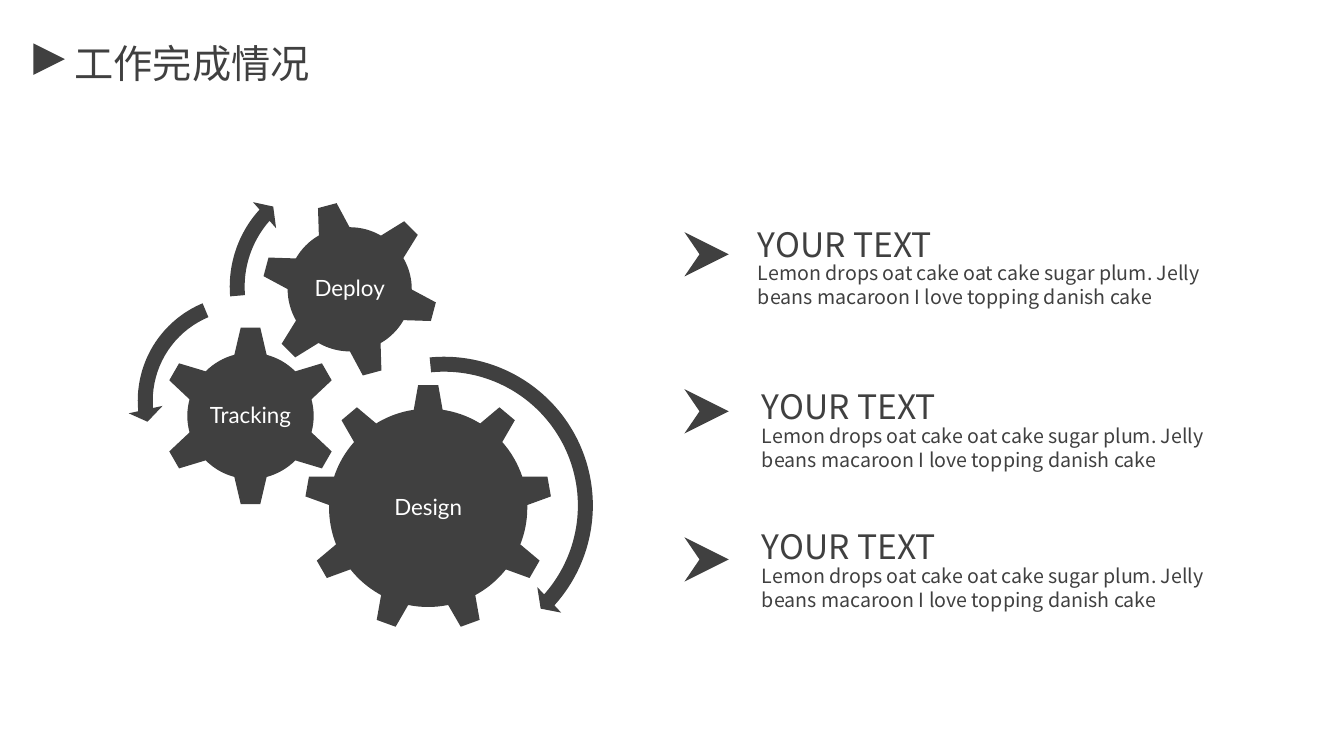
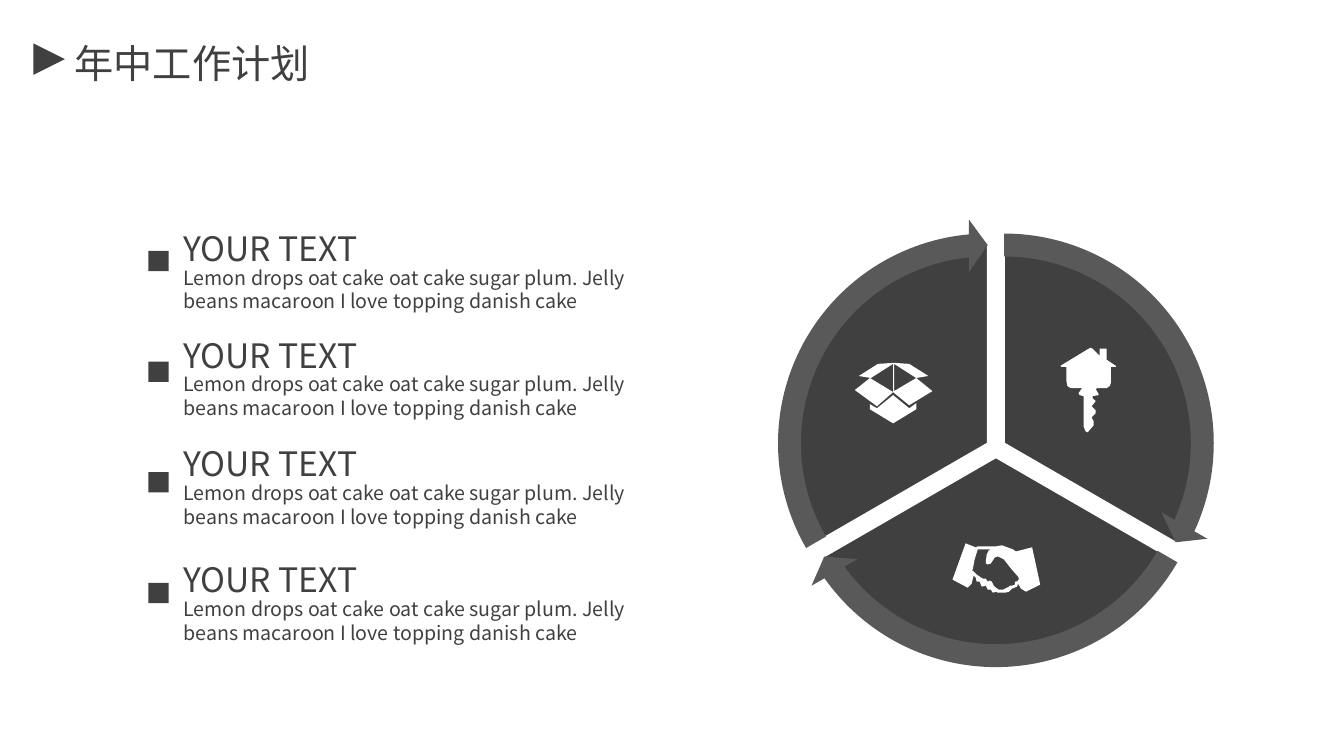
from pptx import Presentation
from pptx.dml.color import RGBColor
from pptx.enum.shapes import MSO_SHAPE
from pptx.enum.text import MSO_ANCHOR, MSO_AUTO_SIZE, PP_ALIGN
from pptx.oxml.ns import qn
from pptx.util import Pt
from lxml import etree
from math import cos, radians, sin

TRI, RECT, PIE = MSO_SHAPE.ISOSCELES_TRIANGLE, MSO_SHAPE.RECTANGLE, MSO_SHAPE.PIE
GEAR6, GEAR9 = MSO_SHAPE.GEAR_6, MSO_SHAPE.GEAR_9
ARC, LEFT_ARC = MSO_SHAPE.CIRCULAR_ARROW, MSO_SHAPE.LEFT_CIRCULAR_ARROW
TOP, MIDDLE = MSO_ANCHOR.TOP, MSO_ANCHOR.MIDDLE
LEFT, CENTER = PP_ALIGN.LEFT, PP_ALIGN.CENTER
NO_FIT = MSO_AUTO_SIZE.NONE

COLORS = {"dark": "404040", "gray": "595959", "white": "FFFFFF", "pale": "FCFDFF"}
HAN, LATO = "Noto Sans CJK SC", "Lato"
BODY = ("Lemon drops oat cake oat cake sugar plum. "
        "Jelly beans macaroon I love topping danish cake")
UNIT = 0.72  # points per step of the icon outlines
CHEVRON = [[(44, 22), (0, 44), (15, 22), (0, 0)]]

# Icon outlines: each icon is a list of closed contours
BOX = [
    [(38, 29), (54, 42), (77, 28), (61, 15), (39, 28), (39, 1), (61, 15), (73, 13),
     (54, 1), (39, 0), (38, 0), (23, 1), (4, 13), (16, 15), (38, 1)],
    [(0, 27), (22, 43), (38, 29), (15, 15)],
    [(38, 32), (22, 45), (15, 41), (15, 46), (38, 60), (61, 46), (61, 40), (54, 45)],
]
KEY = [
    [(7, 33), (7, 19), (2, 19), (1, 18), (29, 1), (31, 0), (33, 1), (40, 8), (40, 1),
     (47, 1), (47, 12), (56, 18), (56, 19), (51, 19), (51, 35), (50, 38), (47, 40),
     (38, 40), (36, 41), (39, 46), (39, 47), (33, 48), (33, 50), (36, 53), (32, 58),
     (36, 62), (36, 65), (32, 69), (34, 73), (34, 77), (28, 84), (26, 83), (24, 78),
     (24, 48), (20, 47), (19, 45), (22, 41), (22, 40), (11, 40), (8, 38)],
]
HANDS = [
    [(79, 4), (63, 8), (64, 9), (60, 6), (49, 2), (43, 3), (25, 3), (23, 4), (13, 0),
     (0, 36), (15, 44), (19, 40), (21, 32), (23, 34), (24, 38), (27, 38), (29, 43),
     (33, 42), (35, 46), (38, 46), (40, 49), (43, 48), (45, 49), (52, 49), (56, 48),
     (59, 45), (64, 43), (65, 40), (68, 45), (73, 48), (87, 41)],
    [(63, 38), (62, 38), (62, 41), (59, 42), (57, 42), (56, 43), (52, 45), (50, 46),
     (46, 46), (43, 44), (41, 42), (39, 38), (37, 37), (35, 38), (33, 35), (30, 35),
     (24, 31), (20, 27), (19, 27), (20, 26), (22, 16), (25, 6), (38, 6), (36, 7),
     (34, 11), (33, 18), (33, 20), (35, 21), (38, 20), (42, 14), (45, 13), (51, 16),
     (58, 25), (65, 33), (66, 35), (65, 37)],
]


def rgb(color):
    return RGBColor.from_string(COLORS[color])


def paint(shape, color):
    shape.shadow.inherit = False
    shape.fill.solid()
    shape.fill.fore_color.rgb = rgb(color)
    shape.line.fill.background()


def block(slide, kind, x, y, size, color="dark", adj=()):
    """Add a square preset shape."""
    shape = slide.shapes.add_shape(kind, Pt(x), Pt(y), Pt(size), Pt(size))
    paint(shape, color)
    for i, value in enumerate(adj):
        shape.adjustments[i] = value
    return shape


def draw(slide, paths, x, y, color):
    """Add one freeform made of closed contours."""
    pen = slide.shapes.build_freeform(*paths[0][0], scale=Pt(UNIT))
    for i, path in enumerate(paths):
        if i:
            pen.move_to(*path[0])
        pen.add_line_segments(path[1:], close=True)
    paint(pen.convert_to_shape(Pt(x), Pt(y)), color)


def write(shape, text, size, font=HAN, color="dark", align=LEFT, anchor=TOP, space=0.9):
    frame = shape.text_frame
    frame.text = text
    frame.word_wrap = True
    frame.auto_size = NO_FIT
    frame.vertical_anchor = anchor
    frame.margin_left = frame.margin_right = 0
    frame.margin_top = frame.margin_bottom = 0
    para = frame.paragraphs[0]
    para.alignment = align
    para.line_spacing = space
    run = para.runs[0]
    run.font.size = Pt(size)
    run.font.name = font
    run.font.color.rgb = rgb(color)
    etree.SubElement(run._r.get_or_add_rPr(), qn("a:ea"), typeface=font)


def label(slide, x, y, w, h, text, size, **style):
    write(slide.shapes.add_textbox(Pt(x), Pt(y), Pt(w), Pt(h)), text, size, **style)


def item(slide, x, y):
    """Add a heading with its two lines of body text."""
    label(slide, x, y, 280, 29, "YOUR TEXT", 24, space=Pt(29))
    label(slide, x, y + 27, 332, 41, BODY, 14, space=Pt(17))


def gear(slide, kind, x, y, size, text, turn=0):
    block(slide, kind, x, y, size).rotation = turn
    label(slide, x, y, size, size, text, 16, font=LATO, color="white",
          align=CENTER, anchor=MIDDLE)


def start(deck, text):
    """Add a slide with the shared title style."""
    slide = deck.slides.add_slide(deck.slide_layouts[5])
    block(slide, TRI, 23.8, 31, 22.5).rotation = 90
    title = slide.shapes.title
    title.left, title.top, title.width, title.height = Pt(53.3), Pt(28), Pt(260), Pt(34)
    write(title, text, 28, space=Pt(34))
    return slide


def status(deck):
    slide = start(deck, "工作完成情况")
    # Gears
    gear(slide, GEAR9, 217.4, 274.3, 177, "Design")
    gear(slide, GEAR6, 114.5, 232.6, 128.9, "Tracking")
    gear(slide, GEAR6, 186.5, 143.3, 126.7, "Deploy", 345)
    # Turning arrows
    block(slide, ARC, 203.8, 247.7, 226.8, adj=(0.047, 2.99, 25.139, 158.662, 0.055))
    block(slide, LEFT_ARC, 91.4, 203.8, 164.9, adj=(0.065, 4.3, 104.891, 148.378, 0.075))
    block(slide, ARC, 157, 115.9, 177.8, adj=(0.06, 3.941, 133.138, 105.082, 0.07))
    # Text list
    for mark, x, y in ((165.8, 541.4, 159.5), (278, 544.3, 275.4), (383.8, 544.3, 375.5)):
        draw(slide, CHEVRON, 488.9, mark, "dark")
        item(slide, x, y)


def plan(deck):
    slide = start(deck, "年中工作计划")
    # Three wedges pushed out from the middle, each with an arrow round it
    cx, cy, gap, pie, ring = 711.4, 320, 6.8, 286, 321
    arcs = []
    for begin in (270, 30, 150):
        mid = radians(begin + 60)
        x, y = cx + gap * cos(mid), cy + gap * sin(mid)
        first, last = begin * 0.6, (begin + 120) % 360 * 0.6
        wedge = block(slide, PIE, x - pie / 2, y - pie / 2, pie, adj=(first, last))
        wedge.line.color.rgb = rgb("white")
        wedge.line.width = Pt(1)
        arcs.append((x, y, first, last))
    for x, y, first, last in arcs:
        block(slide, ARC, x - ring / 2, y - ring / 2, ring, "gray",
              (0.051, 3.275, last - 3.275, first, 0.059))
    # Icons
    draw(slide, HANDS, 680.4, 388.1, "white")
    for part in BOX:
        draw(slide, [part], 610.6, 259.2, "white")
    draw(slide, KEY, 756.7, 248.4, "white")
    # Text list
    for i, y in enumerate((162.4, 238.7, 316.4, 399.2)):
        block(slide, RECT, 106, 179.3 + 79 * i, 14.5)
        item(slide, 131, y)


def main():
    deck = Presentation()
    deck.slide_width, deck.slide_height = Pt(960), Pt(540)
    # Shared background
    fill = deck.slide_master.background.fill
    fill.gradient()
    fill.gradient_angle = 270
    for stop, (color, place) in zip(fill.gradient_stops, (("white", 0.41), ("pale", 1))):
        stop.color.rgb = rgb(color)
        stop.position = place
    status(deck)
    plan(deck)
    deck.save("out.pptx")


if __name__ == "__main__":
    main()
